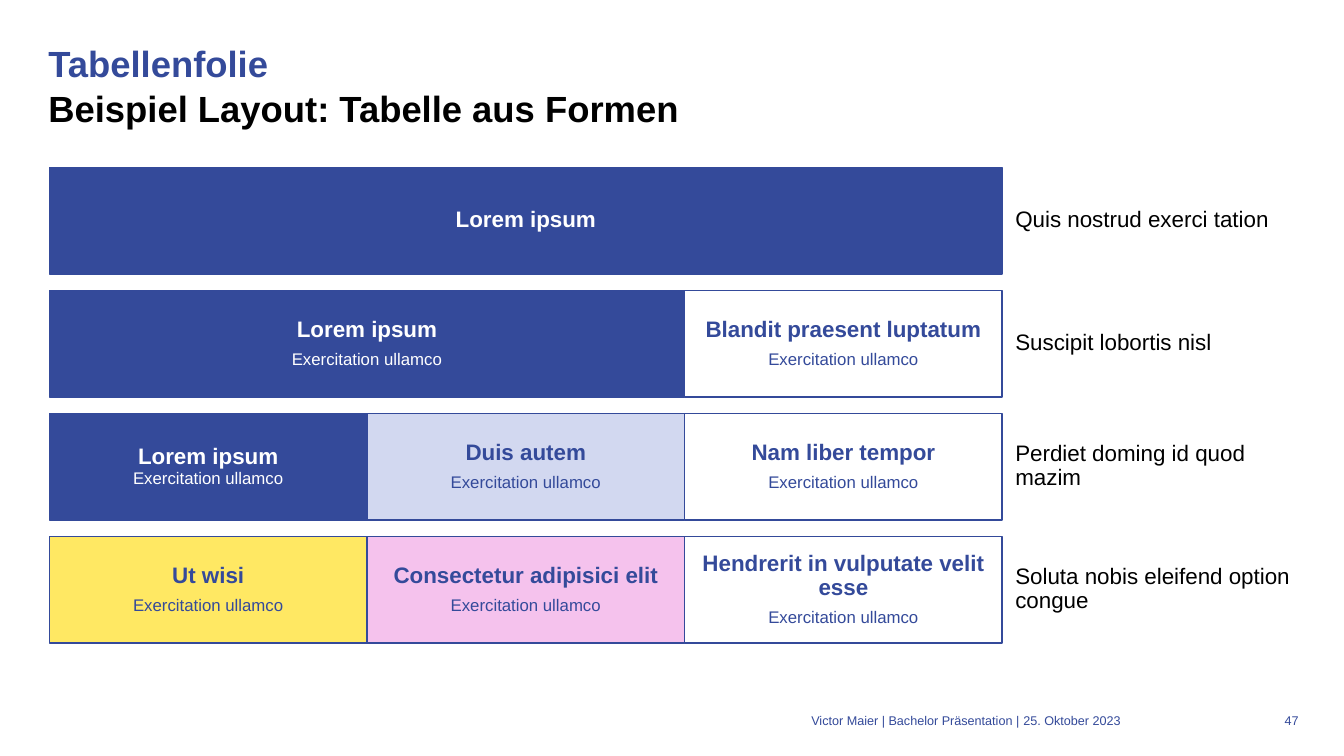
"""Build a slide with a table made of shapes."""
from dataclasses import dataclass

import pptx
import pptx.dml.color
import pptx.enum.shapes
import pptx.enum.text
import pptx.slide
import pptx.text.text
import pptx.util

Inches = pptx.util.Inches
Pt = pptx.util.Pt
RGBColor = pptx.dml.color.RGBColor
Align = pptx.enum.text.PP_ALIGN

BLUE = RGBColor(0x34, 0x4A, 0x9A)
PALE_BLUE = RGBColor(0xD2, 0xD8, 0xF0)
YELLOW = RGBColor(0xFF, 0xE8, 0x63)
PINK = RGBColor(0xF5, 0xC2, 0xED)
WHITE = RGBColor(0xFF, 0xFF, 0xFF)
BLACK = RGBColor(0, 0, 0)

FONT = "Arial"
LEFT, TOP = 0.49, 1.66
COLUMN_WIDTH, ROW_HEIGHT, ROW_STEP = 3.15, 1.06, 1.22
LABEL_LEFT, LABEL_WIDTH = 10, 2.89
PADDING = 0.07
SUBTITLE = "Exercitation ullamco"


@dataclass
class Cell:
    row: int
    column: int
    heading: str
    fill: RGBColor = WHITE
    color: RGBColor = BLUE
    span: int = 1
    subtitle: str = SUBTITLE
    line_break: bool = False


@dataclass
class Footer:
    left: float
    width: float
    text: str
    align: Align
    inset: float = 0


CELLS = [
    Cell(0, 0, "Lorem ipsum", BLUE, WHITE, span=3, subtitle=""),
    Cell(1, 0, "Lorem ipsum", BLUE, WHITE, span=2),
    Cell(2, 0, "Lorem ipsum", BLUE, WHITE, line_break=True),
    Cell(3, 0, "Ut wisi", YELLOW),
    Cell(2, 1, "Duis autem", PALE_BLUE),
    Cell(3, 1, "Consectetur adipisici elit", PINK),
    Cell(1, 2, "Blandit praesent luptatum"),
    Cell(2, 2, "Nam liber tempor"),
    Cell(3, 2, "Hendrerit in vulputate velit esse"),
]
LABELS = [
    "Quis nostrud exerci tation",
    "Suscipit lobortis nisl",
    "Perdiet doming id quod mazim",
    "Soluta nobis eleifend option congue",
]
FOOTERS = [
    Footer(3.26, 6.85, "Victor Maier | Bachelor Präsentation |", Align.RIGHT),
    Footer(10.11, 1.57, "25. Oktober 2023", Align.LEFT, inset=0.04),
    Footer(12.49, 0.39, "47", Align.RIGHT),
]


def set_font(font: pptx.text.text.Font, size: float, color: RGBColor, bold: bool = False) -> None:
    font.name = FONT
    font.size = Pt(size)
    font.bold = bold
    font.color.rgb = color


def set_insets(frame: pptx.text.text.TextFrame, inset: float) -> None:
    frame.word_wrap = True
    frame.margin_left = frame.margin_right = Inches(inset)
    frame.margin_top = frame.margin_bottom = Inches(inset)


def add_block(page: pptx.slide.Slide, left: float, row: int, width: float,
              fill: RGBColor, align: Align) -> pptx.text.text.TextFrame:
    block = page.shapes.add_shape(
        pptx.enum.shapes.MSO_SHAPE.RECTANGLE, Inches(left),
        Inches(TOP + row * ROW_STEP), Inches(width), Inches(ROW_HEIGHT))
    block.shadow.inherit = False
    block.fill.solid()
    block.fill.fore_color.rgb = fill
    if align == Align.CENTER:
        block.line.color.rgb = BLUE
        block.line.width = Pt(1)
    else:
        block.line.fill.background()
    frame = block.text_frame
    set_insets(frame, PADDING)
    frame.vertical_anchor = pptx.enum.text.MSO_ANCHOR.MIDDLE
    format_block_paragraph(frame.paragraphs[0], align)
    return frame


def format_block_paragraph(para: pptx.text.text._Paragraph, align: Align) -> None:
    para.alignment = align
    para.line_spacing = 0.9
    para.space_after = Pt(5.6)


def add_cell(page: pptx.slide.Slide, cell: Cell) -> None:
    frame = add_block(page, LEFT + cell.column * COLUMN_WIDTH, cell.row,
                      cell.span * COLUMN_WIDTH, cell.fill, Align.CENTER)
    para = frame.paragraphs[0]
    span = para.add_run()
    span.text = cell.heading
    set_font(span.font, 16, cell.color, bold=True)
    if not cell.subtitle:
        return
    if cell.line_break:
        para.add_line_break()
    else:
        para = frame.add_paragraph()
        format_block_paragraph(para, Align.CENTER)
    span = para.add_run()
    span.text = cell.subtitle
    set_font(span.font, 12, cell.color)


def add_label(page: pptx.slide.Slide, row: int, text: str) -> None:
    frame = add_block(page, LABEL_LEFT, row, LABEL_WIDTH, WHITE, Align.LEFT)
    para = frame.paragraphs[0]
    para.text = text
    set_font(para.font, 16, BLACK)


def add_title(page: pptx.slide.Slide) -> None:
    box = page.shapes.add_textbox(Inches(0.48), Inches(0.4), Inches(12.4), Inches(1.06))
    set_insets(box.text_frame, 0)
    para = box.text_frame.paragraphs[0]
    para.line_spacing = Pt(32)
    span = para.add_run()
    span.text = "Tabellenfolie"
    set_font(span.font, 26, BLUE, bold=True)
    para.add_line_break()
    span = para.add_run()
    span.text = "Beispiel Layout: Tabelle aus Formen"
    set_font(span.font, 26, BLACK, bold=True)


def add_footer(page: pptx.slide.Slide, footer: Footer) -> None:
    box = page.shapes.add_textbox(Inches(footer.left), Inches(7.07),
                                  Inches(footer.width), Inches(0.2))
    set_insets(box.text_frame, 0)
    box.text_frame.margin_left = Inches(footer.inset)
    para = box.text_frame.paragraphs[0]
    para.text = footer.text
    para.alignment = footer.align
    set_font(para.font, 9, BLUE)


def main() -> None:
    deck = pptx.Presentation()
    deck.slide_width = Inches(13.33)
    deck.slide_height = Inches(7.5)
    page = deck.slides.add_slide(deck.slide_layouts[6])
    add_title(page)
    for cell in CELLS:
        add_cell(page, cell)
    for row, text in enumerate(LABELS):
        add_label(page, row, text)
    for footer in FOOTERS:
        add_footer(page, footer)
    deck.save("out.pptx")


if __name__ == "__main__":
    main()
